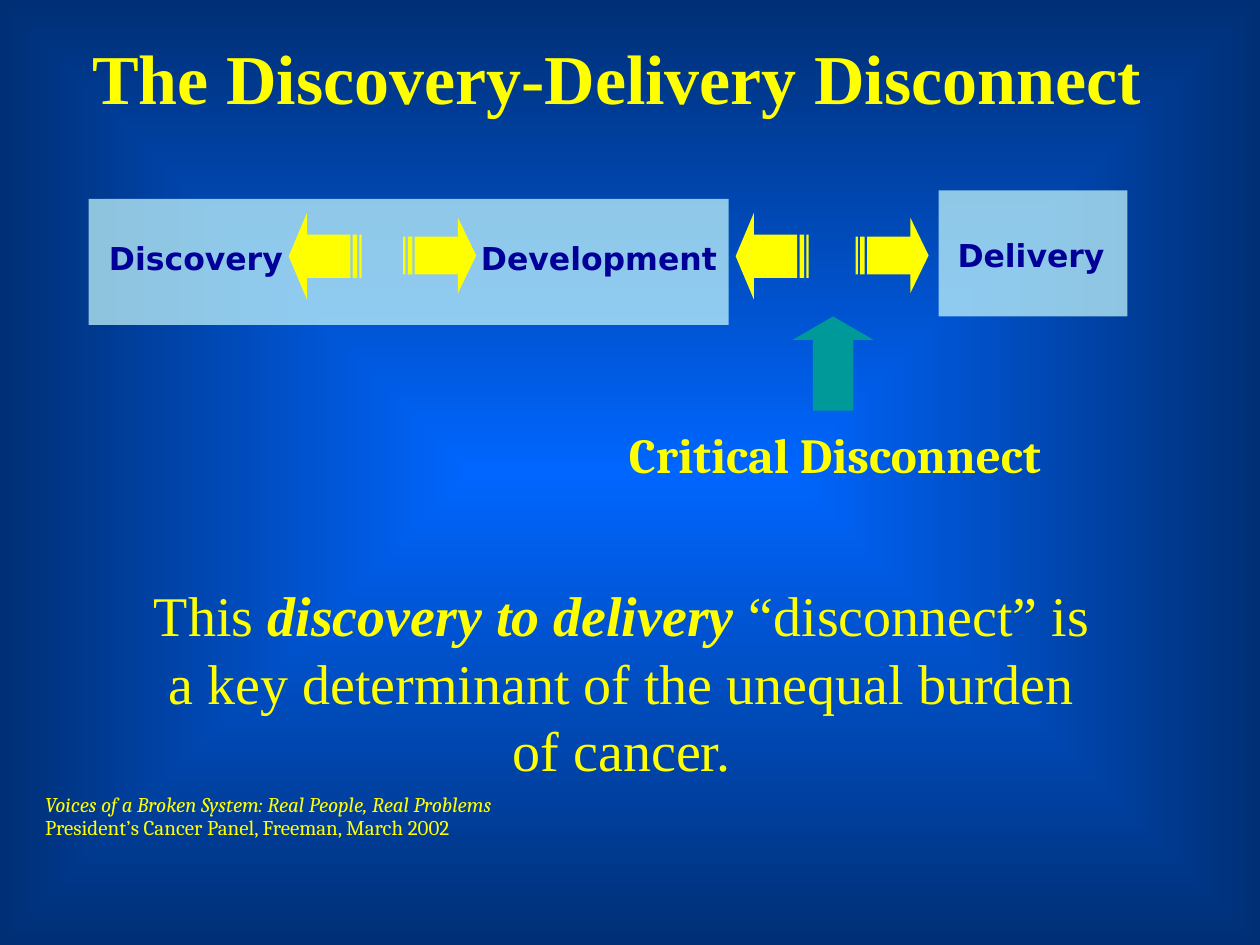
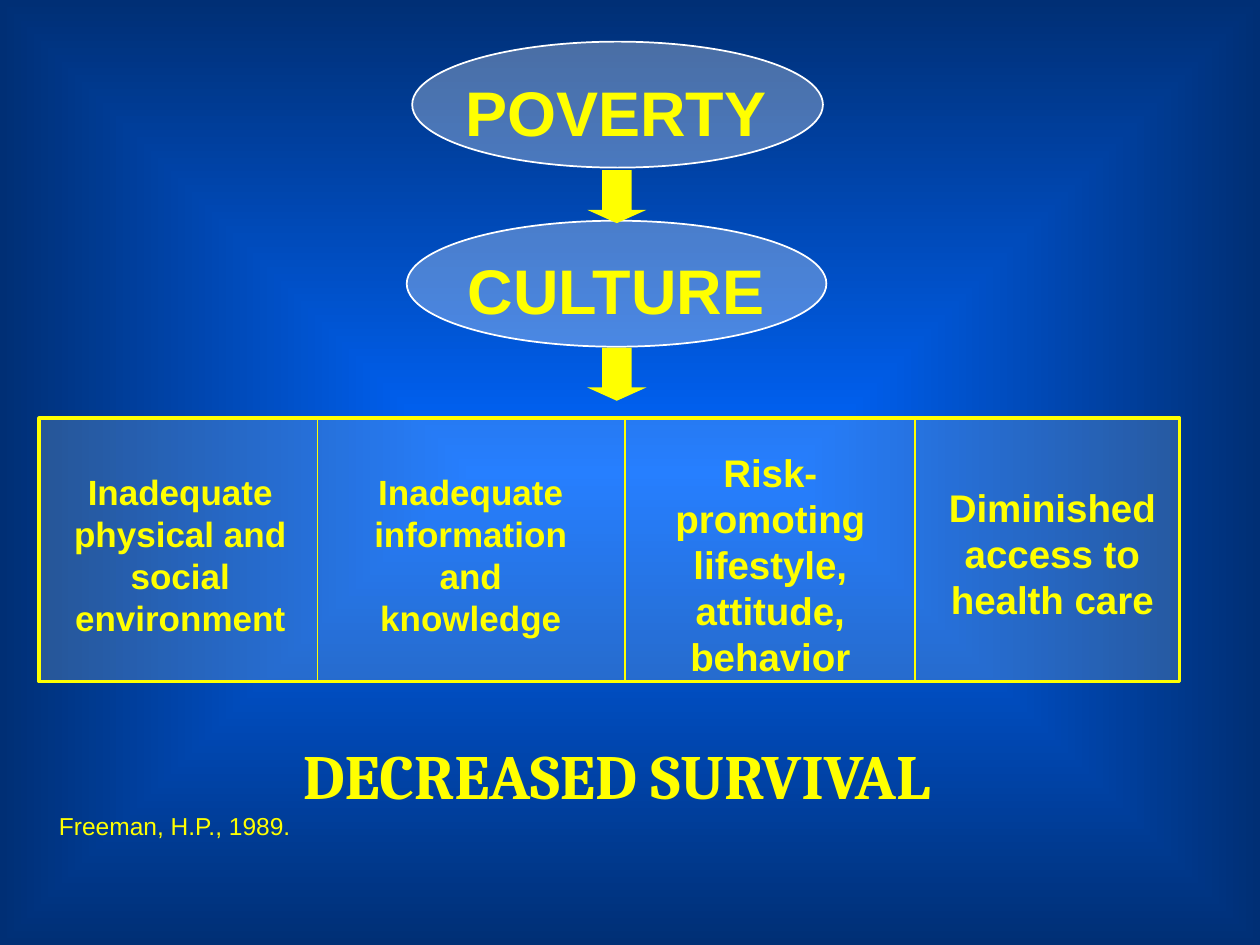
from dataclasses import dataclass, replace
from lxml.etree import SubElement
from pptx import Presentation
from pptx.dml.color import RGBColor
from pptx.enum.shapes import MSO_CONNECTOR, MSO_SHAPE
from pptx.enum.text import MSO_ANCHOR, MSO_AUTO_SIZE, PP_ALIGN
from pptx.oxml.ns import qn
from pptx.util import Cm, Pt


@dataclass(frozen=True)
class Type:
    """The look of one run of text."""
    font: str
    size: float
    color: str = "FFFF00"
    bold: bool = False
    italic: bool = False
    shadow: bool = False


@dataclass(frozen=True)
class Theme:
    """Colours and type sizes shared by the slides."""
    center: str = "0066FF"
    edge: str = "002F75"
    yellow: str = "FFFF00"
    teal: str = "009999"
    white: str = "FFFFFF"
    stage: str = "CCFFFF"
    factors: str = "CCECFF"
    title: Type = Type("Times New Roman", 40, bold=True)
    statement: Type = Type("Times New Roman", 32)
    stage_label: Type = Type("DejaVu Sans", 18, "000099", bold=True)
    callout: Type = Type("Cambria", 28, bold=True)
    citation: Type = Type("Cambria", 12)
    cause: Type = Type("Arial", 36, bold=True, shadow=True)
    outcome: Type = Type("Cambria", 36, bold=True)
    factor: Type = Type("Arial", 20, bold=True)
    large_factor: Type = Type("Arial", 22, bold=True)
    reference: Type = Type("Arial", 14)


THEME = Theme()


def paint_background(master):
    """Give the master a rectangular gradient, bright in the middle."""
    fill = master.background.fill
    fill.gradient()
    for stop, color in zip(fill.gradient_stops, (THEME.center, THEME.edge)):
        stop.color.rgb = RGBColor.from_string(color)
    gradient = master.element.xpath("./p:cSld/p:bg//a:gradFill")[0]
    gradient.remove(gradient.find(qn("a:lin")))
    rays = SubElement(gradient, qn("a:path"), path="rect")
    SubElement(rays, qn("a:fillToRect"), l="50000", t="50000", r="50000", b="50000")


def add_text_shadow(run):
    """Cast a soft shadow behind the letters of a run."""
    properties = run.font._element
    effects = properties.makeelement(qn("a:effectLst"), {})
    properties.find(qn("a:solidFill")).addnext(effects)
    shadow = SubElement(effects, qn("a:outerShdw"), dist="38100", dir="2700000")
    SubElement(shadow, qn("a:srgbClr"), val="808080")


def add_run(paragraph, text, style):
    """Append one styled run."""
    run = paragraph.add_run()
    run.text = text
    font = run.font
    font.name, font.size = style.font, Pt(style.size)
    font.bold, font.italic = style.bold, style.italic
    font.color.rgb = RGBColor.from_string(style.color)
    if style.shadow:
        add_text_shadow(run)


def write(holder, paragraphs, align=PP_ALIGN.CENTER, pitch=None):
    """Fill a box with paragraphs, each a list of (text, type) runs."""
    frame = holder.text_frame
    frame.word_wrap = True
    frame.auto_size = MSO_AUTO_SIZE.NONE
    frame.vertical_anchor = MSO_ANCHOR.TOP
    for index, runs in enumerate(paragraphs):
        paragraph = frame.add_paragraph() if index else frame.paragraphs[0]
        paragraph.alignment = align
        paragraph.space_before = Pt(0)
        if pitch:
            paragraph.line_spacing = Pt(pitch)
        for text, style in runs:
            for number, line in enumerate(text.split("\n")):
                if number:
                    paragraph.add_line_break()
                add_run(paragraph, line, style)


def place(holder, left, top, width, height):
    """Move a placeholder to a box given in centimetres."""
    holder.left, holder.top = Cm(left), Cm(top)
    holder.width, holder.height = Cm(width), Cm(height)


def add_title(slide, text, style, box):
    """Write the slide title in its placeholder."""
    place(slide.shapes.title, *box)
    write(slide.shapes.title, [[(text, style)]])


def add_statement(slide, runs, box):
    """Write an unbulleted statement in the body placeholder."""
    body = slide.placeholders[1]
    place(body, *box)
    properties = body.text_frame.paragraphs[0]._p.get_or_add_pPr()
    properties.set("marL", "0")
    properties.set("indent", "0")
    SubElement(properties, qn("a:buNone"))
    write(body, [runs], pitch=38.5)


def add_label(slide, text, style, box, **layout):
    """Add a text box holding one run."""
    write(slide.shapes.add_textbox(*map(Cm, box)), [[(text, style)]], **layout)


def add_figure(slide, preset, box, color, opacity=100, outline=None, adjustments=(), turn=0):
    """Add a flat preset shape; outline is a (colour, points) pair."""
    figure = slide.shapes.add_shape(preset, *map(Cm, box))
    figure.shadow.inherit = False
    figure.rotation = turn
    for index, value in enumerate(adjustments):
        figure.adjustments[index] = value
    figure.fill.solid()
    figure.fill.fore_color.rgb = RGBColor.from_string(color)
    if opacity < 100:
        tint = figure._element.spPr.find(qn("a:solidFill"))[0]
        SubElement(tint, qn("a:alpha"), val=str(opacity * 1000))
    if outline:
        figure.line.color.rgb = RGBColor.from_string(outline[0])
        figure.line.width = Pt(outline[1])
    else:
        figure.line.fill.background()


def add_divider(slide, x, top, bottom):
    """Add a thin vertical rule."""
    rule = slide.shapes.add_connector(MSO_CONNECTOR.STRAIGHT, Cm(x), Cm(top), Cm(x), Cm(bottom))
    rule.line.color.rgb = RGBColor.from_string(THEME.yellow)
    rule.line.width = Pt(1)
    SubElement(rule._element.spPr, qn("a:effectLst"))


def add_striped_pair(slide, left_x, right_x):
    """Add two striped arrows that point away from each other."""
    for box, turn in (((left_x, 4.29, 1.47, 1.75), 180), ((right_x, 4.39, 1.47, 1.52), 0)):
        add_figure(slide, MSO_SHAPE.STRIPED_RIGHT_ARROW, box, THEME.yellow,
                   adjustments=(0.5, 0.25), turn=turn)


def build_disconnect(deck):
    """Build the slide on the gap between discovery and delivery."""
    slide = deck.slides.add_slide(deck.slide_layouts[1])
    add_title(slide, "The Discovery-Delivery Disconnect", THEME.title, (0.48, 0.57, 23.9, 1.8))
    statement = THEME.statement
    add_statement(slide, [
        ("This ", statement),
        ("discovery to delivery", replace(statement, bold=True, italic=True)),
        (" “disconnect” is a key determinant of the unequal burden of cancer.", statement),
    ], (2.64, 11.58, 19.79, 4.32))
    for panel in ((18.92, 3.84, 3.81, 2.54), (1.79, 4.01, 12.9, 2.54)):
        add_figure(slide, MSO_SHAPE.RECTANGLE, panel, THEME.stage, opacity=70)
    for stage, left, top, width in (("Discovery", 1.88, 4.69, 4.14),
                                    ("Development", 9.32, 4.69, 5.51),
                                    ("Delivery", 18.97, 4.64, 3.63)):
        add_label(slide, stage, THEME.stage_label, (left, top, width, 1.02))
    add_striped_pair(slide, 5.82, 8.13)
    add_striped_pair(slide, 14.83, 17.25)
    add_figure(slide, MSO_SHAPE.UP_ARROW, (15.98, 6.38, 1.63, 1.9), THEME.teal,
               adjustments=(0.5, 0.29))
    add_label(slide, "Critical Disconnect", THEME.callout, (12.17, 8.43, 9.32, 1.4))
    citation = slide.shapes.add_textbox(*map(Cm, (0.66, 15.88, 22.4, 1.2)))
    write(citation, [
        [("Voices of a Broken System: Real People, Real Problems",
          replace(THEME.citation, italic=True))],
        [("President’s Cancer Panel, Freeman, March 2002", THEME.citation)],
    ], align=PP_ALIGN.LEFT, pitch=13.1)


def build_survival(deck):
    """Build the slide on poverty, culture and survival."""
    slide = deck.slides.add_slide(deck.slide_layouts[5])
    add_title(slide, "DECREASED SURVIVAL", THEME.outcome, (3.45, 14.71, 17.96, 1.78))
    add_figure(slide, MSO_SHAPE.RECTANGLE, (0.79, 8.43, 22.99, 5.31), THEME.factors,
               opacity=19, outline=(THEME.yellow, 2))
    causes = (("POVERTY", (8.31, 0.84, 8.28, 2.54), 1.35, 3.43),
              ("CULTURE", (8.2, 4.45, 8.46, 2.54), 4.95, 7.01))
    for cause, oval, label_top, _ in causes:
        add_figure(slide, MSO_SHAPE.OVAL, oval, THEME.white, opacity=29,
                   outline=(THEME.white, 1))
        add_label(slide, cause, THEME.cause, (8.43, label_top, 7.98, 1.78))
    for *_, arrow_top in causes:
        add_figure(slide, MSO_SHAPE.DOWN_ARROW, (11.84, arrow_top, 1.19, 1.07), THEME.yellow,
                   adjustments=(0.5, 0.25))
    for factor, style, box in (
        ("Inadequate physical and social environment", THEME.factor, (1.07, 9.36, 5.13, 3.63)),
        ("Inadequate information\nand\nknowledge", THEME.factor, (7.19, 9.36, 4.6, 3.63)),
        ("Risk-promoting lifestyle,\nattitude, behavior", THEME.large_factor,
         (12.62, 8.92, 5.82, 4.9)),
        ("Diminished access to\nhealth care", THEME.large_factor, (18.47, 9.63, 5.49, 3.05)),
    ):
        add_label(slide, factor, style, box, pitch=style.size * 1.2)
    for x in (6.4, 12.6, 18.44):
        add_divider(slide, x, 8.43, 13.76)
    add_label(slide, "Freeman, H.P., 1989.", THEME.reference, (0.94, 16.22, 16.28, 0.9),
              align=PP_ALIGN.LEFT)


def main():
    """Build and save the deck."""
    deck = Presentation()
    deck.slide_width, deck.slide_height = Cm(25.4), Cm(19.05)
    paint_background(deck.slide_master)
    build_disconnect(deck)
    build_survival(deck)
    deck.save("out.pptx")


if __name__ == "__main__":
    main()
